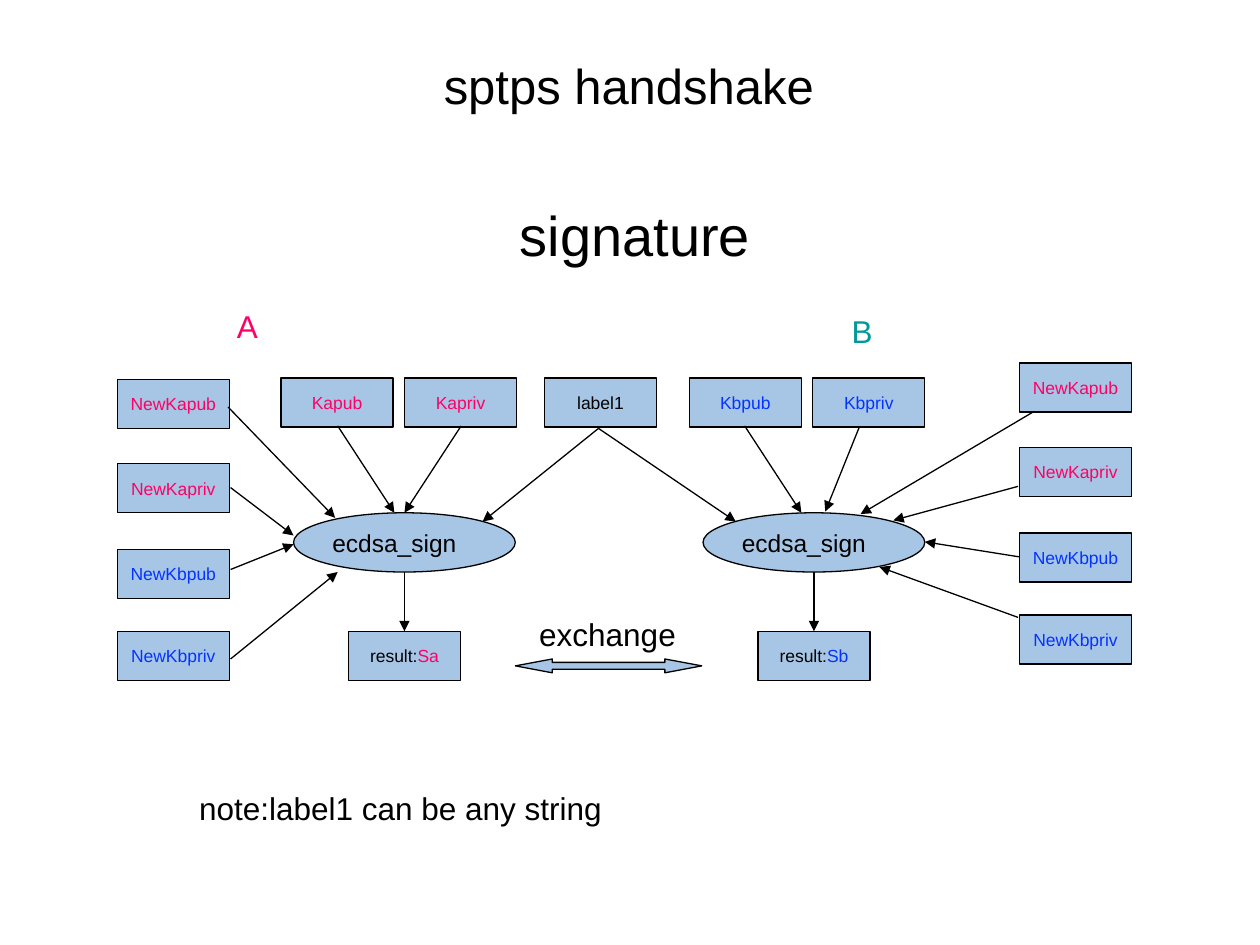
from pptx import Presentation
from pptx.dml.color import RGBColor
from pptx.enum.shapes import MSO_CONNECTOR, MSO_SHAPE
from pptx.enum.text import MSO_ANCHOR, MSO_AUTO_SIZE, PP_ALIGN
from pptx.oxml.ns import qn
from pptx.util import Inches, Pt
from lxml.etree import SubElement

BLACK = RGBColor(0x00, 0x00, 0x00)
PINK = RGBColor(0xFF, 0x00, 0x66)
BLUE = RGBColor(0x04, 0x33, 0xFF)
TEAL = RGBColor(0x00, 0x99, 0x99)
FILL = RGBColor(0xA7, 0xC6, 0xE5)

# Content
new_keys = [("NewKapub", PINK), ("NewKapriv", PINK),
            ("NewKbpub", BLUE), ("NewKbpriv", BLUE)]
key_offsets = [0, 0.67, 1.35, 2]
key_columns = [(0.93, 3.01), (8.09, 2.88)]
top_row = [(2.23, "Kapub", PINK), (3.21, "Kapriv", PINK), (4.32, "label1", BLACK),
           (5.47, "Kbpub", BLUE), (6.45, "Kbpriv", BLUE)]
signers = [(2.33, "Sa", PINK), (5.58, "Sb", BLUE)]
labels = [(1.83, 2.39, 1.14, "A", PINK), (6.71, 2.43, 1.14, "B", TEAL),
          (4.23, 4.83, 1.34, "exchange", BLACK),
          (1.53, 6.21, 4.66, "note:label1 can be any string", BLACK)]
arrows = [
    # new keys into A
    (1.81, 3.23, 2.66, 4.11), (1.83, 3.87, 2.33, 4.25),
    (1.83, 4.52, 2.33, 4.32), (1.83, 5.23, 2.68, 4.54),
    # new keys into B
    (8.2, 3.27, 6.83, 4.08), (8.08, 3.86, 7.09, 4.13),
    (8.09, 4.42, 7.34, 4.3), (8.08, 4.9, 6.98, 4.5),
    # own keys and label
    (2.68, 3.38, 3.13, 4.07), (3.66, 3.38, 3.21, 4.07),
    (5.91, 3.38, 6.36, 4.07), (6.82, 3.39, 6.55, 4.06),
    (4.75, 3.4, 3.83, 4.14), (4.75, 3.4, 5.84, 4.14),
]
BOX_W, BOX_H = 0.89, 0.39
OVAL_W, OVAL_H, OVAL_Y = 1.76, 0.47, 4.07
ROW_Y, RESULT_Y = 3, 5.01

prs = Presentation()
prs.slide_width, prs.slide_height = Inches(10), Inches(7.5)
s = prs.slides.add_slide(prs.slide_layouts[1])


def put_text(sp, runs, size, align=PP_ALIGN.LEFT, anchor=MSO_ANCHOR.TOP, wrap=True):
    tf = sp.text_frame
    tf.auto_size = MSO_AUTO_SIZE.NONE
    tf.word_wrap = wrap
    tf.vertical_anchor = anchor
    tf.margin_left = tf.margin_right = tf.margin_top = tf.margin_bottom = Inches(0.05)
    p = tf.paragraphs[0]
    p.alignment = align
    for text, color in runs:
        r = p.add_run()
        r.text = text
        r.font.name, r.font.size, r.font.color.rgb = "Arial", Pt(size), color
    return p


def add_node(kind, x, y, w, h):
    sp = s.shapes.add_shape(kind, Inches(x), Inches(y), Inches(w), Inches(h))
    sp.shadow.inherit = False
    sp.fill.solid()
    sp.fill.fore_color.rgb = FILL
    sp.line.color.rgb, sp.line.width = BLACK, Pt(0.75)
    return sp


def add_box(x, y, *runs):
    sp = add_node(MSO_SHAPE.RECTANGLE, x, y, BOX_W, BOX_H)
    put_text(sp, runs, 10, PP_ALIGN.CENTER, MSO_ANCHOR.MIDDLE, wrap=False)


def add_arrow(x1, y1, x2, y2):
    cn = s.shapes.add_connector(MSO_CONNECTOR.STRAIGHT, Inches(x1), Inches(y1),
                                Inches(x2), Inches(y2))
    cn.line.color.rgb, cn.line.width = BLACK, Pt(0.75)
    SubElement(cn.line._get_or_add_ln(), qn("a:tailEnd"), type="triangle")
    SubElement(cn._element.spPr, qn("a:effectLst"))


def place(sp, x, y, w, h):
    sp.left, sp.top, sp.width, sp.height = Inches(x), Inches(y), Inches(w), Inches(h)


# Title and subtitle
title, body = s.shapes.title, s.placeholders[1]
place(title, 0.74, 0.41, 8.5, 0.53)
put_text(title, [("sptps handshake", BLACK)], 28, PP_ALIGN.CENTER, MSO_ANCHOR.MIDDLE)
place(body, 1.54, 1.54, 7, 0.6)
p = put_text(body, [("signature", BLACK)], 32, PP_ALIGN.CENTER)
p.space_before = Pt(7)
pPr = p._p.get_or_add_pPr()
pPr.set("marL", "0")
pPr.set("indent", "0")
SubElement(pPr, qn("a:buNone"))

# Key boxes
for x, y in key_columns:
    for key, dy in zip(new_keys, key_offsets):
        add_box(x, y + dy, key)
for x, name, color in top_row:
    add_box(x, ROW_Y, (name, color))

# Signing steps and their results
for x, result, color in signers:
    oval = add_node(MSO_SHAPE.OVAL, x, OVAL_Y, OVAL_W, OVAL_H)
    put_text(oval, [("ecdsa_sign", BLACK)], 14, anchor=MSO_ANCHOR.MIDDLE)
    mid = x + OVAL_W / 2
    add_box(mid - BOX_W / 2, RESULT_Y, ("result:", BLACK), (result, color))
    add_arrow(mid, OVAL_Y + OVAL_H, mid, RESULT_Y)

for ends in arrows:
    add_arrow(*ends)

# Exchange arrow and free labels
swap = add_node(MSO_SHAPE.LEFT_RIGHT_ARROW, 4.09, 5.23, 1.48, 0.11)
swap.adjustments[0], swap.adjustments[1] = 0.5, 2.67
for x, y, w, text, color in labels:
    tb = s.shapes.add_textbox(Inches(x), Inches(y), Inches(w), Inches(0.38))
    put_text(tb, [(text, color)], 18)

prs.save("out.pptx")
